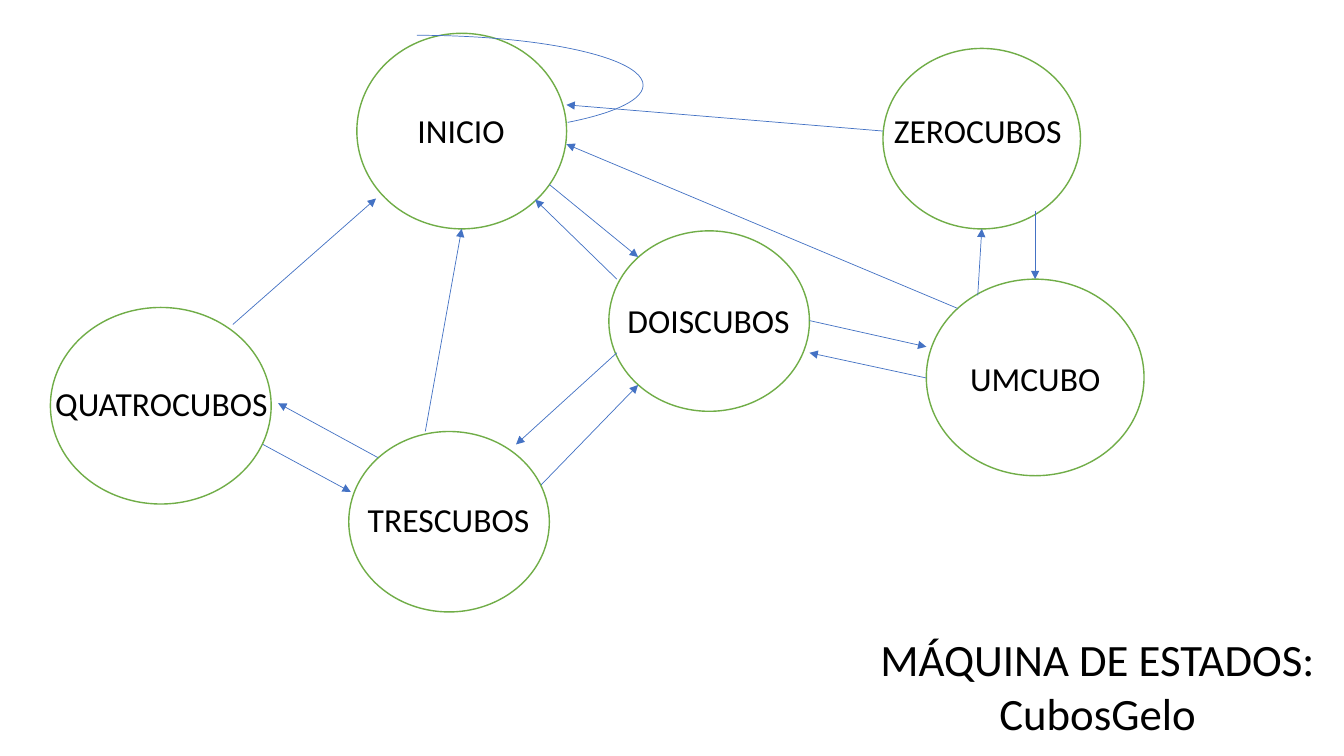
import pptx
import pptx.util
import pptx.oxml
import pptx.dml.color
import pptx.enum.shapes
import pptx.enum.text
import lxml.etree

Pt = pptx.util.Pt
Shape = pptx.enum.shapes.MSO_SHAPE
COLORS = {"paper": "FFFFFF", "ring": "70AD47", "arrow": "4472C4", "text": "000000"}

STATES = [
    ("INICIO", (254.9, 23.8, 149.8, 139.7), 77, (-0.4, -0.7)),
    ("ZEROCUBOS", (630.7, 34.6, 141.1, 128.9), 135.4, (-2.9, -6.1)),
    ("QUATROCUBOS", (36, 219.6, 157.7, 140.4), 167, (0.4, -1.8)),
    ("TRESCUBOS", (249.1, 308.2, 143.3, 128.9), 131, (-0.4, -1.8)),
    ("DOISCUBOS", (434.9, 164.9, 143.3, 128.9), 131, (-0.4, -0.3)),
    ("UMCUBO", (661.7, 199.4, 155.5, 140.4), 108, (0, 0.4)),
]
ARROWS = [
    (392.4, 131.8, 455.8, 183.6),
    (578.2, 229, 661.7, 247.7),
    (440.6, 252, 368.6, 317.5),
    (386.6, 346.3, 455.8, 275),
    (270, 326.9, 198.7, 288),
    (187.9, 317.5, 250.6, 351.4),
    (661.7, 270, 578.2, 252),
    (698.4, 211, 701.3, 163.4),
    (739.4, 150.5, 739.4, 199.4),
    (166.3, 231.8, 268.6, 141.8),
    (303.8, 308.2, 329.8, 163.4),
    (440.6, 199.4, 382.3, 142.6),
    (684, 220.3, 404.6, 103),
    (630.7, 93.6, 404.6, 74.9),
]
LOOP = (136.1, 25.2, 323.3, 71.3)


def color(name):
    return pptx.dml.color.RGBColor.from_string(COLORS[name])


def stroke(shape, name, width):
    shape.line.color.rgb = color(name)
    shape.line.width = Pt(width)


def label(slide, box, lines, size):
    frame = slide.shapes.add_textbox(*map(Pt, box)).text_frame
    frame.word_wrap = False
    frame.auto_size = pptx.enum.text.MSO_AUTO_SIZE.SHAPE_TO_FIT_TEXT
    for i, line in enumerate(lines):
        para = frame.add_paragraph() if i else frame.paragraphs[0]
        para.alignment = pptx.enum.text.PP_ALIGN.CENTER
        run = para.add_run()
        run.text = line
        run.font.name = "Calibri"
        run.font.size = Pt(size)
        run.font.color.rgb = color("text")


def state(slide, box, name, width, shift):
    left, top, wide, high = box
    ring = slide.shapes.add_shape(Shape.OVAL, *map(Pt, box))
    ring.shadow.inherit = False
    ring.fill.solid()
    ring.fill.fore_color.rgb = color("paper")
    stroke(ring, "ring", 1)
    x = left + (wide - width) / 2 + shift[0]
    y = top + (high - 36) / 2 + shift[1]
    label(slide, (x, y, width, 36), [name], 24)


def arrow(slide, ends):
    line = slide.shapes.add_connector(
        pptx.enum.shapes.MSO_CONNECTOR.STRAIGHT, *map(Pt, ends))
    stroke(line, "arrow", 0.5)
    tag = pptx.oxml.ns.qn
    tail = lxml.etree.SubElement(line.line._get_or_add_ln(), tag("a:tailEnd"))
    tail.set("type", "triangle")
    lxml.etree.SubElement(line._element.spPr, tag("a:effectLst"))


def loop(slide, box):
    arc = slide.shapes.add_shape(Shape.ARC, *map(Pt, box))
    arc.shadow.inherit = False
    arc.fill.background()
    arc.adjustments[0] = 162
    arc.adjustments[1] = 8.317
    stroke(arc, "arrow", 0.5)


def graph(slide, box):
    left, top = box[:2]
    for name, (x, y, wide, high), width, shift in STATES:
        state(slide, (left + x, top + y, wide, high), name, width, shift)
    x, y, wide, high = LOOP
    loop(slide, (left + x, top + y, wide, high))
    for x1, y1, x2, y2 in ARROWS:
        arrow(slide, (left + x1, top + y1, left + x2, top + y2))


def title(slide, box):
    label(slide, box, ["MÁQUINA DE ESTADOS:", "CubosGelo"], 32)


def main():
    deck = pptx.Presentation()
    deck.slide_width, deck.slide_height = Pt(960), Pt(540)
    slide = deck.slides.add_slide(deck.slide_layouts[6])
    graph(slide, (0, 0, 960, 440))
    title(slide, (619.9, 447.8, 328.3, 85))
    deck.save("out.pptx")


if __name__ == "__main__":
    main()
